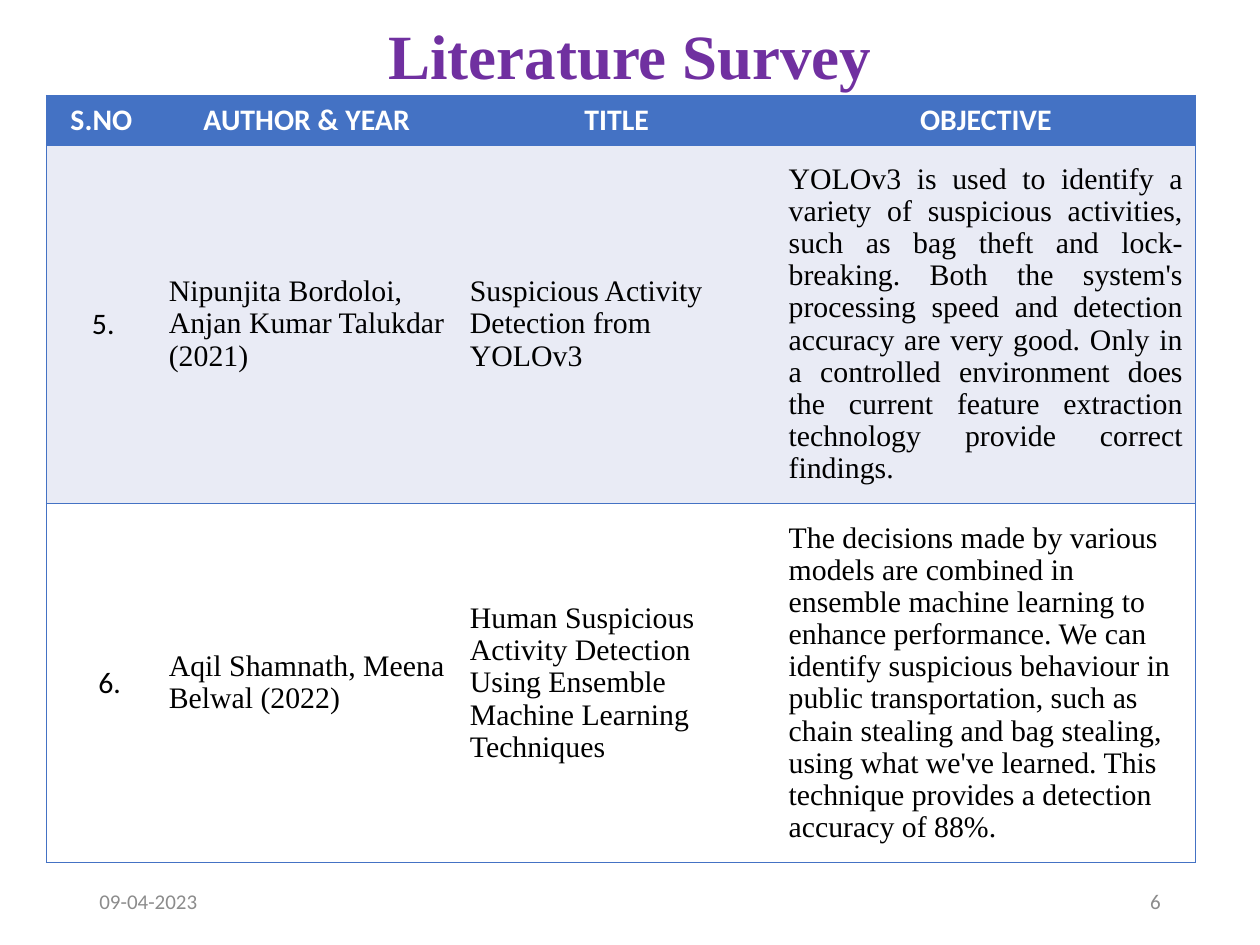
from pptx import Presentation, util as u
from pptx.dml.color import RGBColor
from pptx.enum import text as t
from pptx.oxml import parse_xml
from pptx.oxml.ns import nsdecls

Inches = u.Inches
theme = {
    "serif": "Times New Roman", "sans": "Calibri",
    "title": 36, "body": 17, "foot": 12,
    "purple": "7030A0", "blue": "4472C4", "pale": "E9EBF5",
    "white": "FFFFFF", "black": "000000", "grey": "8C8C8C",
}
LEFT, MID, RIGHT, FULL = (t.PP_ALIGN.LEFT, t.PP_ALIGN.CENTER,
                          t.PP_ALIGN.RIGHT, t.PP_ALIGN.JUSTIFY)


def style(para, face, size, color, align, bold=False):
    para.alignment = align
    for run in para.runs:
        font = run.font
        font.name, font.size, font.bold = theme[face], u.Pt(theme[size]), bold
        font.color.rgb = RGBColor.from_string(theme[color])


def edge(cell, side, color):
    paint = (f'<a:solidFill><a:srgbClr val="{color}"/></a:solidFill>'
             if color else "<a:noFill/>")
    return parse_xml(f'<a:{side} {nsdecls("a")} w="12700">{paint}</a:{side}>')


deck = Presentation()
deck.slide_width, deck.slide_height = Inches(10), Inches(7.5)
slide = deck.slides.add_slide(deck.slide_layouts[6])

# Title, date and page number
for words, x, y, w, h, face, size, color, align in [
    ("Literature Survey", 0.69, 0.18, 8.62, 0.58, "serif", "title", "purple", MID),
    ("09-04-2023", 0.69, 6.95, 2.25, 0.4, "sans", "foot", "grey", LEFT),
    ("6", 7.06, 6.95, 2.25, 0.4, "sans", "foot", "grey", RIGHT),
]:
    frame = slide.shapes.add_textbox(
        Inches(x), Inches(y), Inches(w), Inches(h)).text_frame
    frame.word_wrap = True
    frame.vertical_anchor = t.MSO_ANCHOR.MIDDLE
    frame.text = words
    para = frame.paragraphs[0]
    style(para, face, size, color, align, size == "title")
    if size == "title":
        para.line_spacing = 0.9

# Survey table
rows = [
    ("S.NO", "AUTHOR & YEAR", "TITLE", "OBJECTIVE"),
    ("5.", "Nipunjita Bordoloi, Anjan Kumar Talukdar (2021)",
     "Suspicious Activity Detection from YOLOv3",
     "YOLOv3 is used to identify a variety of suspicious activities, such as "
     "bag theft and lock-breaking. Both the system's processing speed and "
     "detection accuracy are very good. Only in a controlled environment does "
     "the current feature extraction technology provide correct findings."),
    ("6.", "Aqil Shamnath, Meena Belwal (2022)",
     "Human Suspicious Activity Detection Using Ensemble Machine Learning "
     "Techniques",
     "The decisions made by various models are combined in ensemble machine "
     "learning to enhance performance. We can identify suspicious behaviour in "
     "public transportation, such as chain stealing and bag stealing, using "
     "what we've learned. This technique provides a detection accuracy of 88%."),
]
widths = [0.87, 2.39, 2.53, 3.33]
heights = [0.39, 2.81, 2.81]
fills = ["blue", "pale", "white"]
pads = [0.1, 0.36, 0.41]
grid = slide.shapes.add_table(
    len(rows), len(widths), Inches(0.37), Inches(0.76),
    Inches(sum(widths)), Inches(sum(heights))).table
for col, width in zip(grid.columns, widths):
    col.width = Inches(width)
for row, height in zip(grid.rows, heights):
    row.height = Inches(height)

for r, row in enumerate(rows):
    for c, words in enumerate(row):
        cell = grid.cell(r, c)
        cell.text = words
        cell.vertical_anchor = t.MSO_ANCHOR.MIDDLE
        cell.fill.solid()
        cell.fill.fore_color.rgb = RGBColor.from_string(theme[fills[r]])
        para = cell.text_frame.paragraphs[0]
        if r == 0:
            style(para, "sans", "body", "white", MID, True)
        elif c == 0:
            cell.margin_left = Inches(pads[r])
            style(para, "sans", "body", "black", LEFT)
        else:
            align = FULL if (r, c) == (1, 3) else LEFT
            style(para, "serif", "body", "black", align)
            para.line_spacing = 0.97

        # Outer frame and row rules only
        blue = theme["blue"]
        sides = {"lnL": blue if c == 0 else None,
                 "lnR": blue if c == len(widths) - 1 else None,
                 "lnT": blue, "lnB": blue}
        props = cell._tc.get_or_add_tcPr()
        for spot, (side, color) in enumerate(sides.items()):
            props.insert(spot, edge(cell, side, color))

deck.save("out.pptx")
